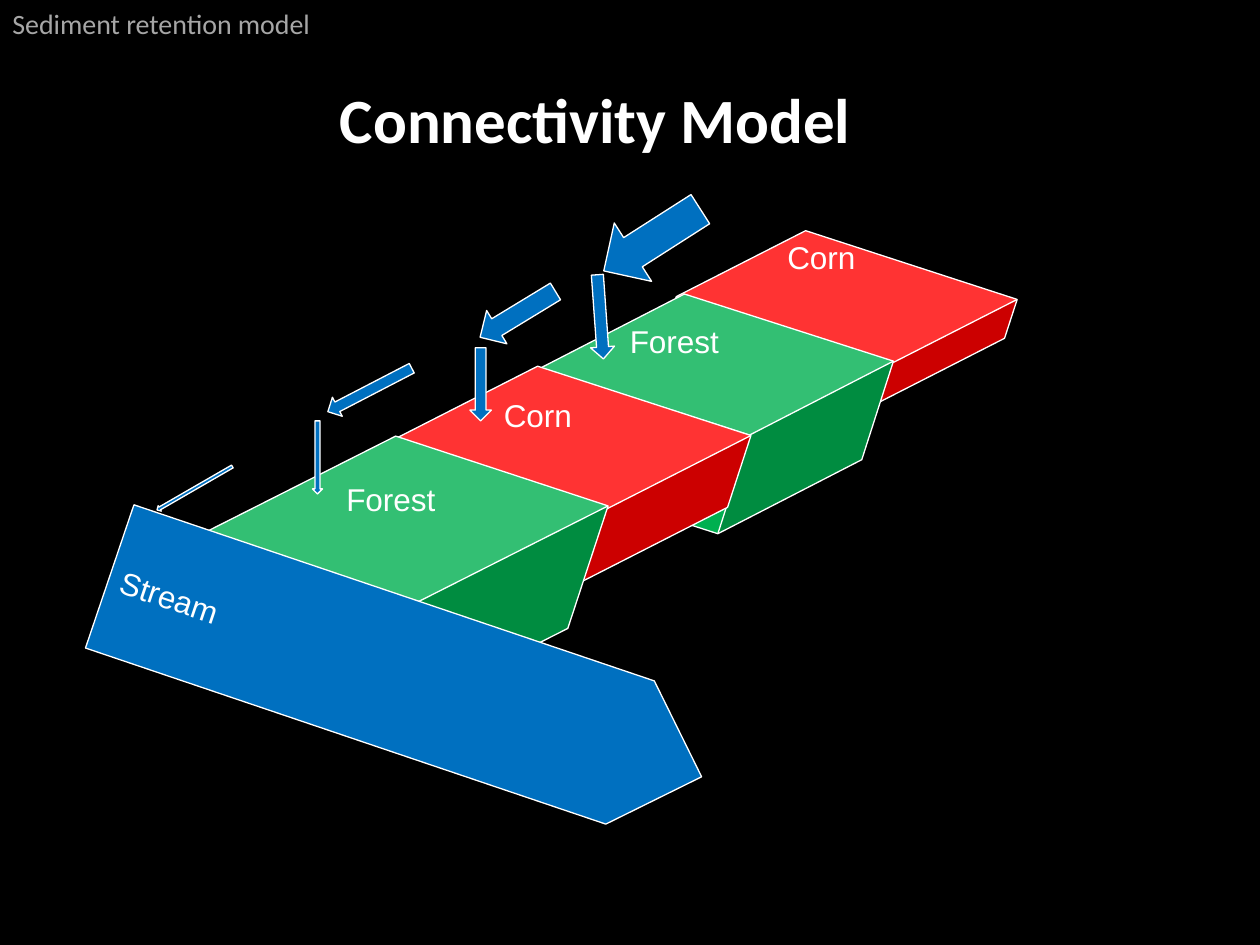
from dataclasses import dataclass
from typing import Any

from pptx import Presentation
from pptx.dml.color import RGBColor
from pptx.enum import shapes as s, text as t
from pptx.util import Inches, Pt

BLACK = RGBColor(0x00, 0x00, 0x00)
WHITE = RGBColor(0xFF, 0xFF, 0xFF)
GRAY = RGBColor(0xA6, 0xA6, 0xA6)
WATER_BLUE = RGBColor(0x00, 0x70, 0xC0)
CORN_RED = RGBColor(0xFF, 0x00, 0x00)
FOREST_GREEN = RGBColor(0x00, 0xB0, 0x50)

Box = tuple[float, float, float, float]
Kind = s.MSO_SHAPE


@dataclass(frozen=True)
class Block:
    kind: Kind
    box: Box
    rotation: float
    fill: RGBColor
    adjustments: tuple[float, ...]


@dataclass(frozen=True)
class Label:
    text: str
    box: Box
    font: dict[str, Any]
    wrap: bool = True


def flow_arrow(kind: Kind, box: Box, rotation: float = 0) -> Block:
    return Block(kind, box, rotation, WATER_BLUE, (0.5, 0.5))


def land_label(text: str, left: float, top: float) -> Label:
    return Label(text, (left, top, 2.5, 0.71), LAND_FONT)


LAND_FONT = {"name": "Arial", "size": Pt(18)}
TITLE_FONT = {"name": "Calibri", "size": Pt(36), "bold": True}
HEADER_FONT = {"name": "Calibri", "size": Pt(16)}

TITLE = Label("Connectivity Model", (2.6, 0.59, 4.3, 0.71), TITLE_FONT, False)
HEADER = Label("Sediment retention model", (0, 0, 2.6, 0.37), HEADER_FONT, False)

RUNOFF_SOURCE = flow_arrow(Kind.RIGHT_ARROW, (4.72, 1.63, 0.91, 0.55), 147.4)
LAND_PARCELS = [
    Block(Kind.CUBE, (5.38, 1.95, 2.58, 1.14), 18, CORN_RED, (0.715,)),
    Block(Kind.CUBE, (4.24, 2.42, 2.65, 1.73), 17.8, FOREST_GREEN, (0.525,)),
    Block(Kind.CUBE, (3.08, 3, 2.71, 1.53), 18, CORN_RED, (0.608,)),
    Block(Kind.CUBE, (1.55, 3.49, 3, 2.25), 18.2, FOREST_GREEN, (0.545,)),
]
STREAM = Block(Kind.PENTAGON, (0.74, 4.77, 4.96, 1.2), 18.7, WATER_BLUE, (0.5,))
FLOW_ARROWS = [
    flow_arrow(Kind.RIGHT_ARROW, (4.43, 2.42, 0.67, 0.19), 85.9),
    flow_arrow(Kind.LEFT_ARROW, (3.76, 2.34, 0.7, 0.31), 328.7),
    flow_arrow(Kind.DOWN_ARROW, (3.73, 2.76, 0.17, 0.58)),
    flow_arrow(Kind.LEFT_ARROW, (2.56, 3.01, 0.75, 0.17), 332.6),
    flow_arrow(Kind.DOWN_ARROW, (2.48, 3.34, 0.08, 0.58)),
    flow_arrow(Kind.LEFT_ARROW, (1.2, 3.85, 0.69, 0.05), 330),
]
LAND_LABELS = [
    land_label("Corn", 6.15, 1.84),
    land_label("Forest", 2.65, 3.76),
    land_label("Forest", 4.9, 2.51),
    land_label("Corn", 3.9, 3.09),
]


def write_text(frame: Any, text: str, font: dict[str, Any], color: RGBColor) -> None:
    paragraph = frame.paragraphs[0]
    paragraph.alignment = t.PP_ALIGN.LEFT
    run = paragraph.add_run()
    run.text = text
    for name, value in font.items():
        setattr(run.font, name, value)
    run.font.color.rgb = color


def draw_block(parent: Any, block: Block) -> Any:
    shape = parent.add_shape(block.kind, *map(Inches, block.box))
    shape.rotation = block.rotation
    shape.shadow.inherit = False
    for index, value in enumerate(block.adjustments):
        shape.adjustments[index] = value
    shape.fill.solid()
    shape.fill.fore_color.rgb = block.fill
    shape.line.color.rgb = WHITE
    shape.line.width = Pt(0.75)
    return shape


def draw_label(parent: Any, label: Label, color: RGBColor = WHITE) -> None:
    frame = parent.add_textbox(*map(Inches, label.box)).text_frame
    frame.word_wrap = label.wrap
    frame.auto_size = t.MSO_AUTO_SIZE.SHAPE_TO_FIT_TEXT
    write_text(frame, label.text, label.font, color)


def main() -> None:
    presentation = Presentation()
    presentation.slide_width = Inches(10)
    presentation.slide_height = Inches(7.5)
    slide = presentation.slides.add_slide(presentation.slide_layouts[6])
    slide.background.fill.solid()
    slide.background.fill.fore_color.rgb = BLACK

    draw_label(slide.shapes, TITLE)
    draw_label(slide.shapes, HEADER, GRAY)
    draw_block(slide.shapes, RUNOFF_SOURCE)

    hillside = slide.shapes.add_group_shape().shapes
    for parcel in LAND_PARCELS:
        draw_block(hillside, parcel)
    stream = draw_block(hillside, STREAM)
    stream.text_frame.vertical_anchor = t.MSO_ANCHOR.MIDDLE
    write_text(stream.text_frame, "Stream", LAND_FONT, WHITE)

    for arrow in FLOW_ARROWS:
        draw_block(slide.shapes, arrow)
    for label in LAND_LABELS:
        draw_label(slide.shapes, label)

    presentation.save("out.pptx")


if __name__ == "__main__":
    main()
